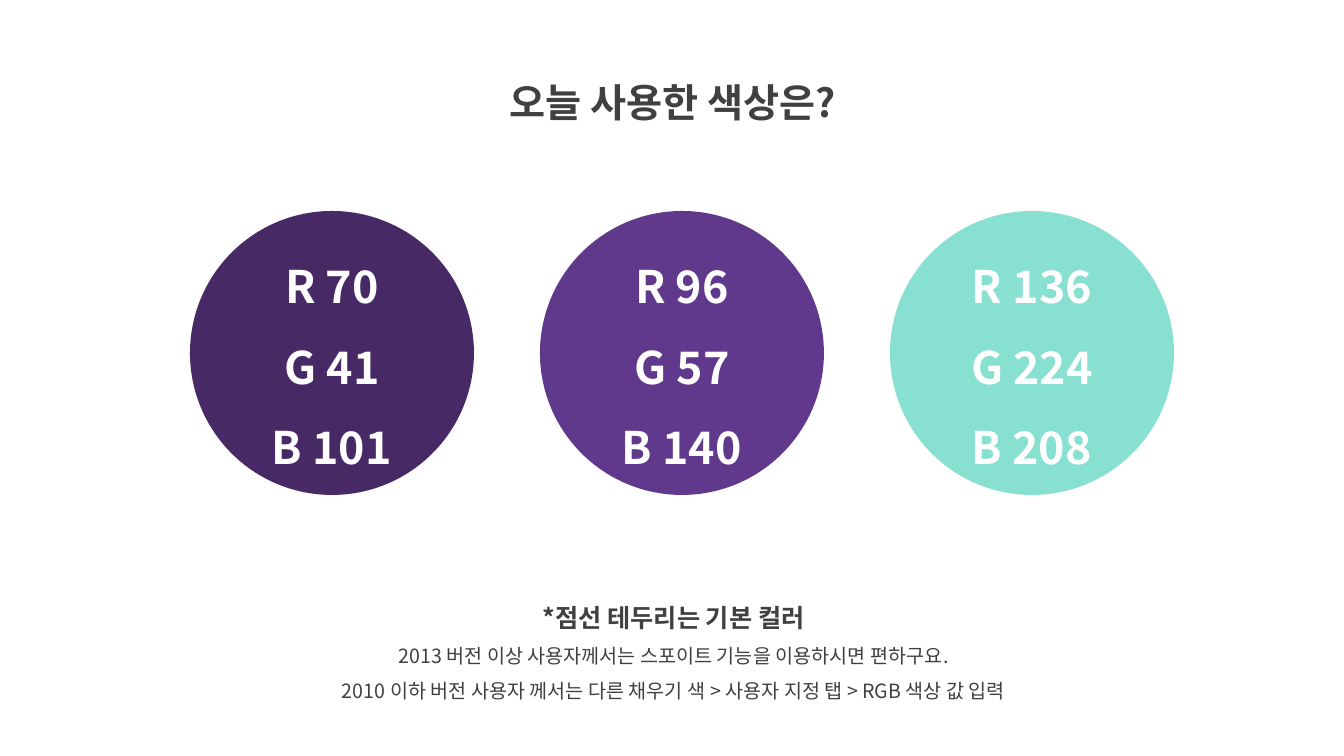
"""Build a slide that lists the three colours used today with their RGB values."""
from lxml import etree
from pptx import Presentation
from pptx import util as u
from pptx.dml.color import RGBColor
from pptx.enum import shapes, text
from pptx.oxml.ns import qn

FONT = "Noto Sans CJK KR"
COLORS = {"ink": "404040", "white": "FFFFFF"}
TITLE = [("오늘 사용한 색상은?", 28, True)]
NOTES = [
    ("*점선 테두리는 기본 컬러", 18, True),
    ("2013 버전 이상 사용자께서는 스포이트 기능을 이용하시면 편하구요.", 14, False),
    ("2010 이하 버전 사용자 께서는 다른 채우기 색 > 사용자 지정 탭 > RGB 색상 값 입력", 14, False),
]
SWATCHES = [(70, 41, 101), (96, 57, 140), (136, 224, 208)]

SLIDE_SIZE = (1344, 756)
TITLE_BOX = (439, 50, 467, 73)
NOTES_BOX = (271, 582, 805, 127)
CIRCLE_LEFT, CIRCLE_TOP, CIRCLE_SIZE, CIRCLE_STEP = 190, 211, 284, 350


def px(length):
    return u.Emu(round(length * 914400 / 100.8))


def write_lines(frame, lines, color):
    frame.word_wrap = True
    frame.text = "\n".join(line for line, size, bold in lines)
    for para, (line, size, bold) in zip(frame.paragraphs, lines):
        para.alignment = text.PP_ALIGN.CENTER
        para.line_spacing = 1.5
        for span in para.runs:
            span.font.name = FONT
            span.font.size = u.Pt(size)
            span.font.bold = bold
            span.font.color.rgb = RGBColor.from_string(color)
            east_asian = etree.SubElement(span.font._element, qn("a:ea"))
            east_asian.set("typeface", FONT)


def add_text(page, place, lines):
    box = page.shapes.add_textbox(*map(px, place))
    write_lines(box.text_frame, lines, COLORS["ink"])
    box.text_frame.auto_size = text.MSO_AUTO_SIZE.SHAPE_TO_FIT_TEXT


def add_swatch(page, left, values):
    place = (left, CIRCLE_TOP, CIRCLE_SIZE, CIRCLE_SIZE)
    circle = page.shapes.add_shape(shapes.MSO_SHAPE.OVAL, *map(px, place))
    circle.shadow.inherit = False
    circle.fill.solid()
    circle.fill.fore_color.rgb = RGBColor(*values)
    circle.line.fill.background()
    circle.text_frame.vertical_anchor = text.MSO_ANCHOR.MIDDLE
    lines = [(f"{channel} {value}", 32, True) for channel, value in zip("RGB", values)]
    write_lines(circle.text_frame, lines, COLORS["white"])


def main():
    deck = Presentation()
    deck.slide_width, deck.slide_height = map(px, SLIDE_SIZE)
    page = deck.slides.add_slide(deck.slide_layouts[6])
    add_text(page, TITLE_BOX, TITLE)
    add_text(page, NOTES_BOX, NOTES)
    for index, values in enumerate(SWATCHES):
        add_swatch(page, CIRCLE_LEFT + index * CIRCLE_STEP, values)
    deck.save("out.pptx")


if __name__ == "__main__":
    main()
